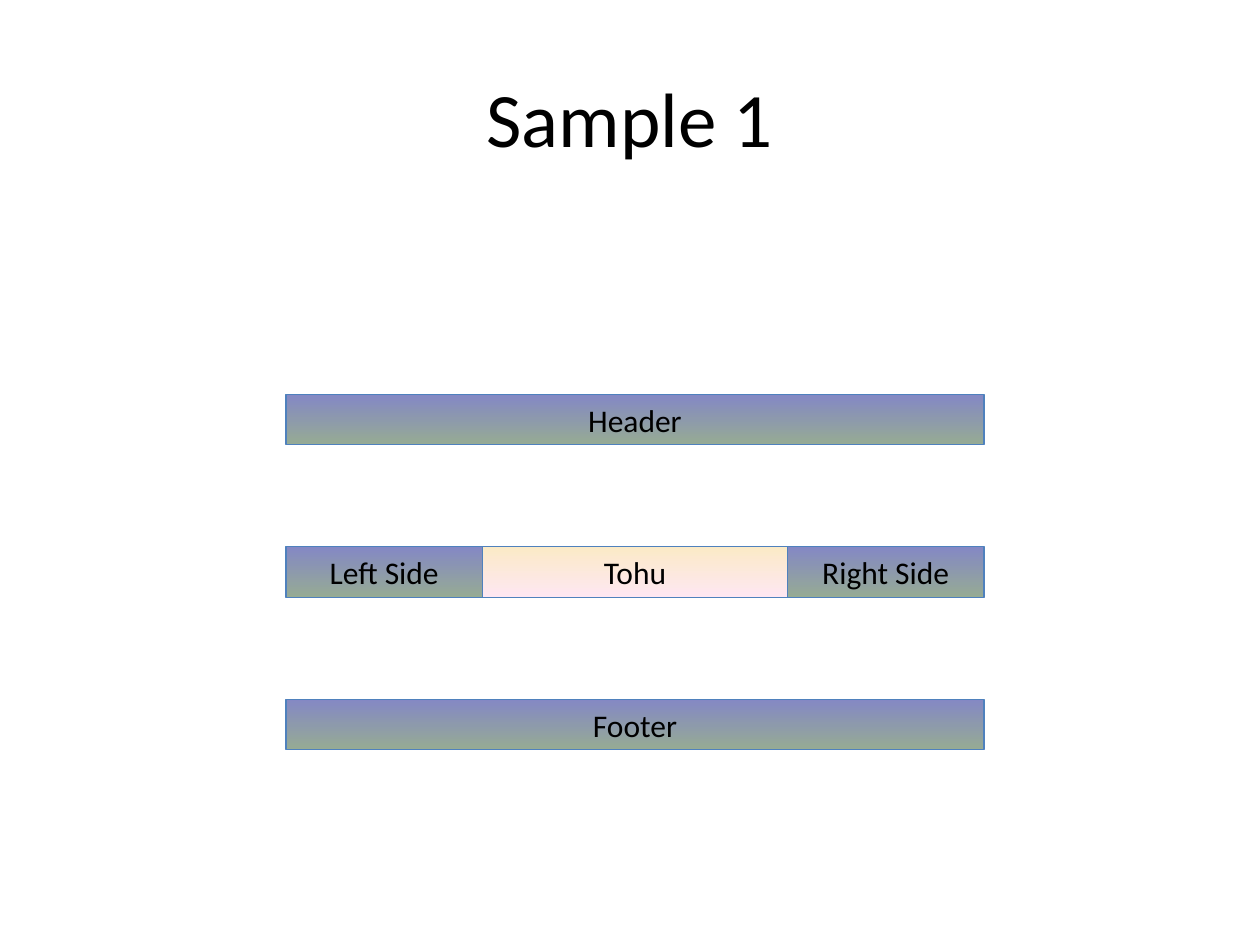
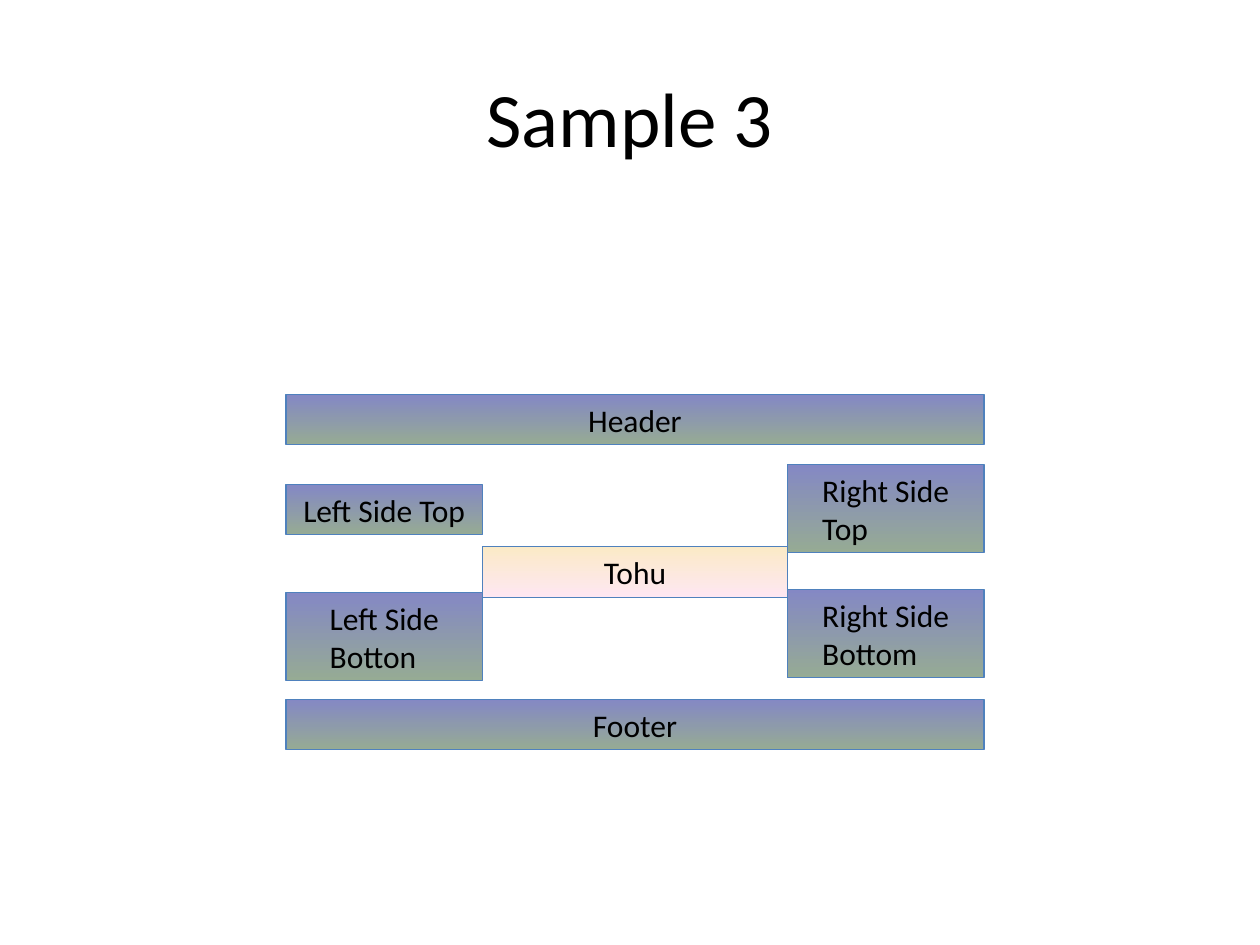
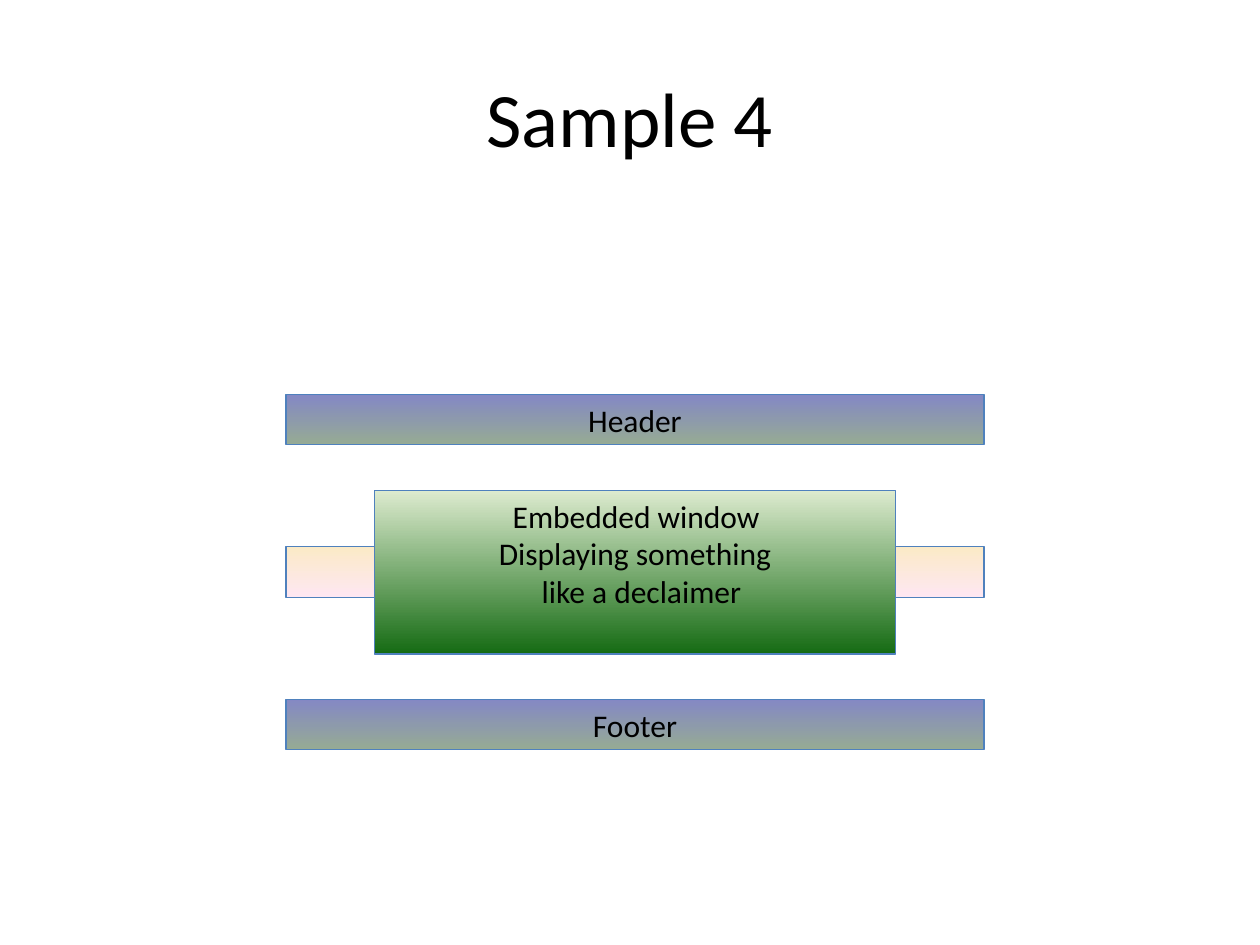
from dataclasses import dataclass
from itertools import accumulate
from typing import Any

from pptx import Presentation
from pptx.dml.color import RGBColor
from pptx.enum.shapes import MSO_SHAPE
from pptx.enum.text import MSO_ANCHOR, MSO_AUTO_SIZE, PP_ALIGN
from pptx.util import Inches, Pt

COLORS = {
    "text": "000000",
    "border": "4F81BD",
    "frame_top": "8488C4",
    "frame_bottom": "96AB94",
    "content_top": "FBEAC7",
    "content_bottom": "FEE7F2",
    "window_top": "DDEBCF",
    "window_bottom": "156B13",
}
SLIDE_SIZE = (10, 7.5)
TITLE_ONLY = 5
COLUMN_WIDTHS = (1.56, 2.42, 1.56)
COLUMN_EDGES = tuple(accumulate(COLUMN_WIDTHS, initial=2.27))
FIRST_ROW, ROW_STEP = 3.13, 1.21
ONE_LINE, TWO_LINES = 0.4, 0.7
TITLE_FONT = {"name": "Calibri", "size": Pt(44)}
REGION_FONT = {"name": "Calibri", "size": Pt(18)}
REGION_FRAME = {
    "word_wrap": True,
    "auto_size": MSO_AUTO_SIZE.SHAPE_TO_FIT_TEXT,
    "vertical_anchor": MSO_ANCHOR.MIDDLE,
    "margin_left": Inches(0.1),
    "margin_right": Inches(0.1),
    "margin_top": Inches(0.05),
}


@dataclass(frozen=True)
class Line:
    text: str
    indent: float = 0


@dataclass(frozen=True)
class Region:
    lines: tuple[Line, ...]
    row: float
    start: float = 0
    end: float = 3
    height: float = ONE_LINE
    theme: str = "frame"
    bottom_margin: float = 0.05


@dataclass(frozen=True)
class Sample:
    title: str
    regions: tuple[Region, ...]


def region(text: str, row: float, start: float = 0, end: float = 3, **options: Any) -> Region:
    return Region((Line(text),), row, start, end, **options)


HEADER = region("Header", 0)
FOOTER = region("Footer", 2)
TOHU = region("Tohu", 1, 1, 2, theme="content")
WIDE_TOHU = region("Tohu", 1, theme="content")
EMBEDDED_WINDOW = Region(
    (Line("Embedded window", 0.11), Line("Displaying something"), Line("like a declaimer", 0.34)),
    row=0.63, start=0.45, end=2.55, height=1.3, theme="window", bottom_margin=0.35,
)

SAMPLES = (
    Sample("Sample 1", (
        TOHU, HEADER,
        region("Left Side", 1, 0, 1),
        region("Right Side", 1, 2, 3),
        FOOTER,
    )),
    Sample("Sample 3", (
        TOHU, HEADER,
        region("Left Side Top", 0.59, 0, 1),
        region("Right Side Top", 0.46, 2, 3, height=TWO_LINES),
        FOOTER,
        region("Left Side Botton", 1.3, 0, 1, height=TWO_LINES),
        region("Right Side Bottom", 1.28, 2, 3, height=TWO_LINES),
    )),
    Sample("Sample 4", (WIDE_TOHU, HEADER, FOOTER, EMBEDDED_WINDOW)),
)


def color(key: str) -> RGBColor:
    return RGBColor.from_string(COLORS[key])


def apply_format(target: Any, values: dict[str, Any]) -> None:
    for attribute, value in values.items():
        setattr(target, attribute, value)


def column_x(column: float) -> float:
    index = min(int(column), len(COLUMN_WIDTHS) - 1)
    return COLUMN_EDGES[index] + (column - index) * COLUMN_WIDTHS[index]


def write_line(paragraph: Any, line: Line, font: dict[str, Any], alignment: PP_ALIGN) -> None:
    paragraph.alignment = alignment
    run = paragraph.add_run()
    run.text = line.text
    apply_format(run.font, font)
    run.font.color.rgb = color("text")
    if line.indent:
        apply_indent = paragraph._p.get_or_add_pPr().set
        apply_indent("marL", str(Inches(line.indent)))


def draw_region(slide: Any, part: Region) -> None:
    left, right = column_x(part.start), column_x(part.end)
    top = FIRST_ROW + part.row * ROW_STEP
    box = slide.shapes.add_shape(
        MSO_SHAPE.RECTANGLE, *map(Inches, (left, top, right - left, part.height))
    )
    box.shadow.inherit = False
    box.fill.gradient()
    box.fill.gradient_angle = 270
    for stop, edge in zip(box.fill.gradient_stops, ("top", "bottom")):
        stop.color.rgb = color(f"{part.theme}_{edge}")
    box.line.color.rgb = color("border")
    box.line.width = Pt(0.75)

    frame = box.text_frame
    apply_format(frame, REGION_FRAME | {"margin_bottom": Inches(part.bottom_margin)})
    frame._txBody.bodyPr.set("anchorCtr", "1")
    for index, line in enumerate(part.lines):
        paragraph = frame.add_paragraph() if index else frame.paragraphs[0]
        write_line(paragraph, line, REGION_FONT, PP_ALIGN.LEFT)


def draw_sample(deck: Any, sample: Sample) -> None:
    slide = deck.slides.add_slide(deck.slide_layouts[TITLE_ONLY])
    heading = slide.shapes.title.text_frame
    heading.vertical_anchor = MSO_ANCHOR.MIDDLE
    write_line(heading.paragraphs[0], Line(sample.title), TITLE_FONT, PP_ALIGN.CENTER)
    for part in sample.regions:
        draw_region(slide, part)


def main() -> None:
    deck = Presentation()
    deck.slide_width, deck.slide_height = map(Inches, SLIDE_SIZE)
    for sample in SAMPLES:
        draw_sample(deck, sample)
    deck.save("out.pptx")


if __name__ == "__main__":
    main()
